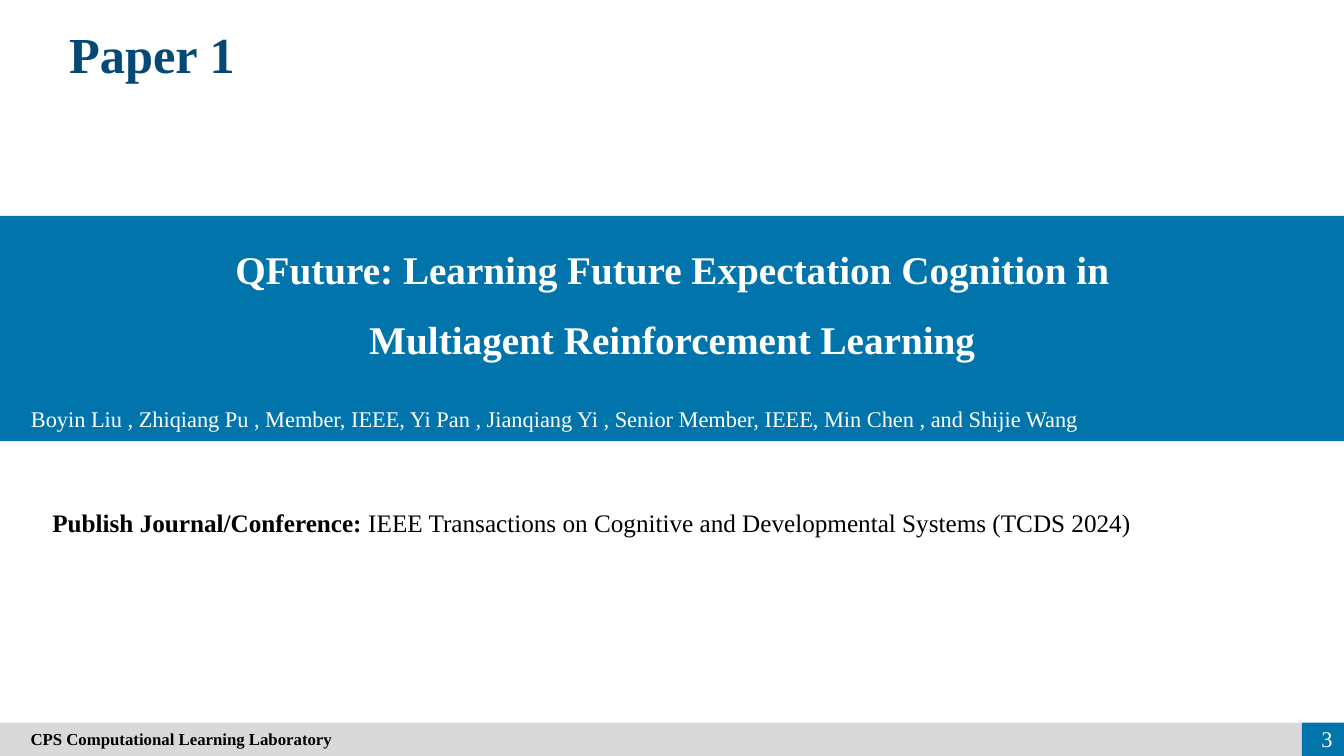
import pptx
import pptx.util
import pptx.dml.color
import pptx.enum.shapes
import pptx.enum.text

Cm = pptx.util.Cm
Pt = pptx.util.Pt
ALIGN = pptx.enum.text.PP_ALIGN
ANCHOR = pptx.enum.text.MSO_ANCHOR
WIDE, HIGH = 33.87, 19.05
BLUE, NAVY, GREY, WHITE, BLACK = "0174AB", "044875", "D9D9D9", "FFFFFF", "000000"


def tint(color, code):
    color.rgb = pptx.dml.color.RGBColor.from_string(code)


def put(item, values):
    """Set each attribute named in the dict."""
    for name, value in values.items():
        setattr(item, name, value)


def write(shape, runs, size, code, align=ALIGN.LEFT, anchor=ANCHOR.TOP, gap=1.0):
    """Fill the shape with one paragraph of (words, bold) runs."""
    frame = shape.text_frame
    put(frame, {"word_wrap": True, "vertical_anchor": anchor,
                "auto_size": pptx.enum.text.MSO_AUTO_SIZE.NONE})
    para = frame.paragraphs[0]
    put(para, {"alignment": align, "line_spacing": gap})
    for words, bold in runs:
        run = para.add_run()
        run.text = words
        put(run.font, {"name": "Times New Roman", "size": Pt(size), "bold": bold})
        tint(run.font.color, code)


def bar(slide, left, top, width, height, code):
    kind = pptx.enum.shapes.MSO_SHAPE.RECTANGLE
    shape = slide.shapes.add_shape(kind, Cm(left), Cm(top), Cm(width), Cm(height))
    shape.shadow.inherit = False
    shape.fill.solid()
    tint(shape.fill.fore_color, code)
    shape.line.fill.background()
    return shape


def label(slide, left, top, width, height, runs, size, code, **style):
    box = slide.shapes.add_textbox(Cm(left), Cm(top), Cm(width), Cm(height))
    write(box, runs, size, code, **style)


def head(slide, words):
    title = slide.shapes.title
    put(title, {"left": Cm(0.97), "top": Cm(0.46), "width": Cm(5.72), "height": Cm(1.8)})
    write(title, [(words, True)], 36, NAVY, align=ALIGN.CENTER)


def banner(slide, name, authors):
    top = 5.44
    bar(slide, 0, top, WIDE, 5.68, BLUE)
    label(slide, 4.42, top, 25.04, 3.84, [(name, True)], 28, WHITE,
          align=ALIGN.CENTER, anchor=ANCHOR.MIDDLE, gap=1.5)
    label(slide, 0.53, 10.08, 30.02, 0.94, [(authors, False)], 16, WHITE)


def footer(slide, words, number):
    top, split = 18.21, 32.8
    bar(slide, split, top, WIDE - split, HIGH - top, BLUE)
    strip = bar(slide, 0, top, split, HIGH - top, GREY)
    strip.text_frame.margin_left = Cm(0.77)
    write(strip, [(words, True)], 12, BLACK, anchor=ANCHOR.MIDDLE)
    label(slide, 32.23, 18.11, 1.6, 1.02, [(number, False)], 16, WHITE,
          align=ALIGN.RIGHT, anchor=ANCHOR.MIDDLE)


def main():
    deck = pptx.Presentation()
    put(deck, {"slide_width": Cm(WIDE), "slide_height": Cm(HIGH)})
    slide = deck.slides.add_slide(deck.slide_layouts[5])
    head(slide, "Paper 1")
    banner(slide,
           "QFuture: Learning Future Expectation Cognition in "
           "Multiagent Reinforcement Learning",
           "Boyin Liu , Zhiqiang Pu , Member, IEEE, Yi Pan , Jianqiang Yi , "
           "Senior Member, IEEE, Min Chen , and Shijie Wang")
    label(slide, 1.07, 12.65, 31.14, 1.02,
          [("Publish Journal/Conference:", True),
           (" IEEE Transactions on Cognitive and Developmental Systems (TCDS 2024)",
            False)], 18, BLACK)
    footer(slide, "CPS Computational Learning Laboratory", "3")
    deck.save("out.pptx")


if __name__ == "__main__":
    main()
